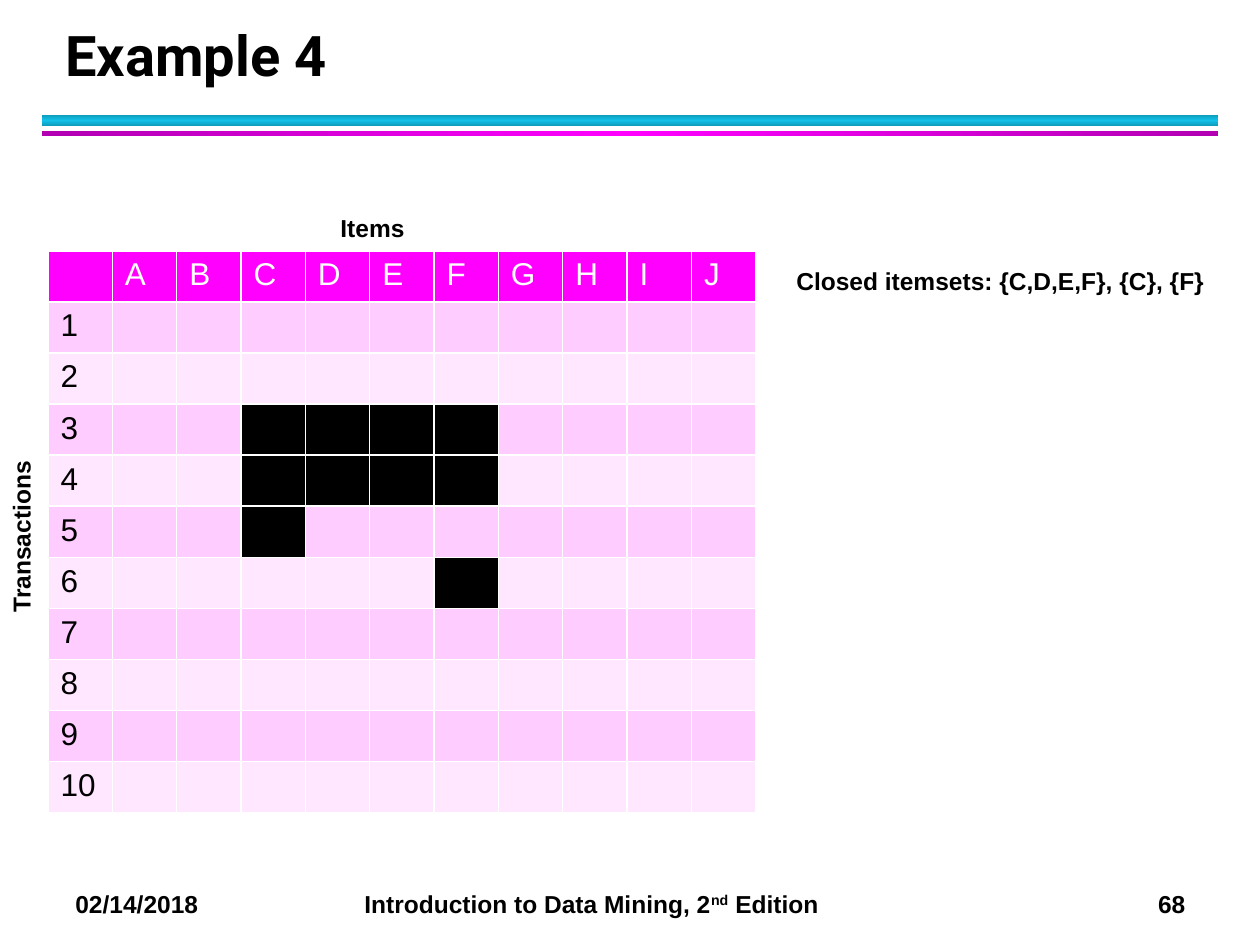
"""Build the slide of Example 4: a grid of transactions and items with its closed itemsets."""
from copy import deepcopy

from lxml.etree import SubElement
from pptx import Presentation
from pptx.dml.color import RGBColor
from pptx.enum.shapes import MSO_SHAPE
from pptx.enum.text import MSO_ANCHOR
from pptx.oxml.ns import qn
from pptx.util import Pt

PX = 914400 // 126
HUES = {
    "ink": "000000", "white": "FFFFFF", "head": "FF00FF", "odd": "FFCCFF",
    "even": "FFE7FF", "teal": "0E9BBA", "cyan": "12C2E9", "plum": "B200B2",
}


def hue(name):
    return RGBColor.from_string(HUES[name])


def label(text, left, top, width, height, size=14, face="Arial", wrap=False):
    box = slide.shapes.add_textbox(left * PX, top * PX, width * PX, height * PX)
    box.text_frame.word_wrap = wrap
    para = box.text_frame.paragraphs[0]
    para.text = text
    para.font.name, para.font.size, para.font.bold = face, Pt(size), True
    para.font.color.rgb = hue("ink")
    return box


deck = Presentation()
deck.slide_width, deck.slide_height = 1260 * PX, 945 * PX
slide = deck.slides.add_slide(deck.slide_layouts[6])

for top, height, edge, mid, angle in [(115, 11, "teal", "cyan", 90), (131, 5, "plum", "head", 0)]:
    bar = slide.shapes.add_shape(MSO_SHAPE.RECTANGLE, 42 * PX, top * PX, 1176 * PX, height * PX)
    bar.shadow.inherit = False
    bar.line.fill.background()
    bar.fill.gradient()
    bar.fill.gradient_angle = angle
    stops = bar._element.find(".//" + qn("a:gsLst"))
    stops.append(deepcopy(stops[0]))
    for stop, place, name in zip(bar.fill.gradient_stops, (0, 0.5, 1), (edge, mid, edge)):
        stop.position = place
        stop.color.rgb = hue(name)

foot = label("02/14/2018\tIntroduction to Data Mining, 2", 63, 882, 1176, 43, wrap=True)
foot.text_frame.vertical_anchor = MSO_ANCHOR.MIDDLE
para = foot.text_frame.paragraphs[0]
power = para.add_run()
power.text = "nd"
power.font._element.set("baseline", "30000")
para.add_run().text = " Edition\t68"
props = para._p.get_or_add_pPr()
tabs = SubElement(props, qn("a:tabLst"))
props.insert(0, tabs)
for place, side in [(289, "l"), (1110, "r")]:
    SubElement(tabs, qn("a:tab"), pos=str(place * PX), algn=side)

title = label("Example 4", 53, 21, 1142, 73, 32, "Roboto", True)
title.text_frame.vertical_anchor = MSO_ANCHOR.BOTTOM
title.text_frame.paragraphs[0].line_spacing = Pt(36)

items = "ABCDEFGHIJ"
marks = {3: "CDEF", 4: "CDEF", 5: "C", 6: "F"}
count = 11
grid = slide.shapes.add_table(count, count, 48 * PX, 251 * PX, 708 * PX, 562 * PX).table
for row in range(count):
    for col in range(count):
        cell = grid.cell(row, col)
        item = items[col - 1] if col else ""
        if row == 0:
            text, fill = item, "head"
        else:
            text = "" if col else str(row)
            fill = "odd" if row % 2 else "even"
            if item and item in marks.get(row, ""):
                fill = "ink"
        cell.fill.solid()
        cell.fill.fore_color.rgb = hue(fill)
        para = cell.text_frame.paragraphs[0]
        para.text = text
        para.font.name, para.font.size, para.font.bold = "Arial", Pt(18), False
        para.font.color.rgb = hue("ink" if row else "white")

label("Items", 328, 207, 97, 50)
label("Transactions", -68, 507, 186, 50).rotation = 270
label("Closed itemsets: {C,D,E,F}, {C}, {F}", 784, 260, 456, 50)

deck.save("out.pptx")
